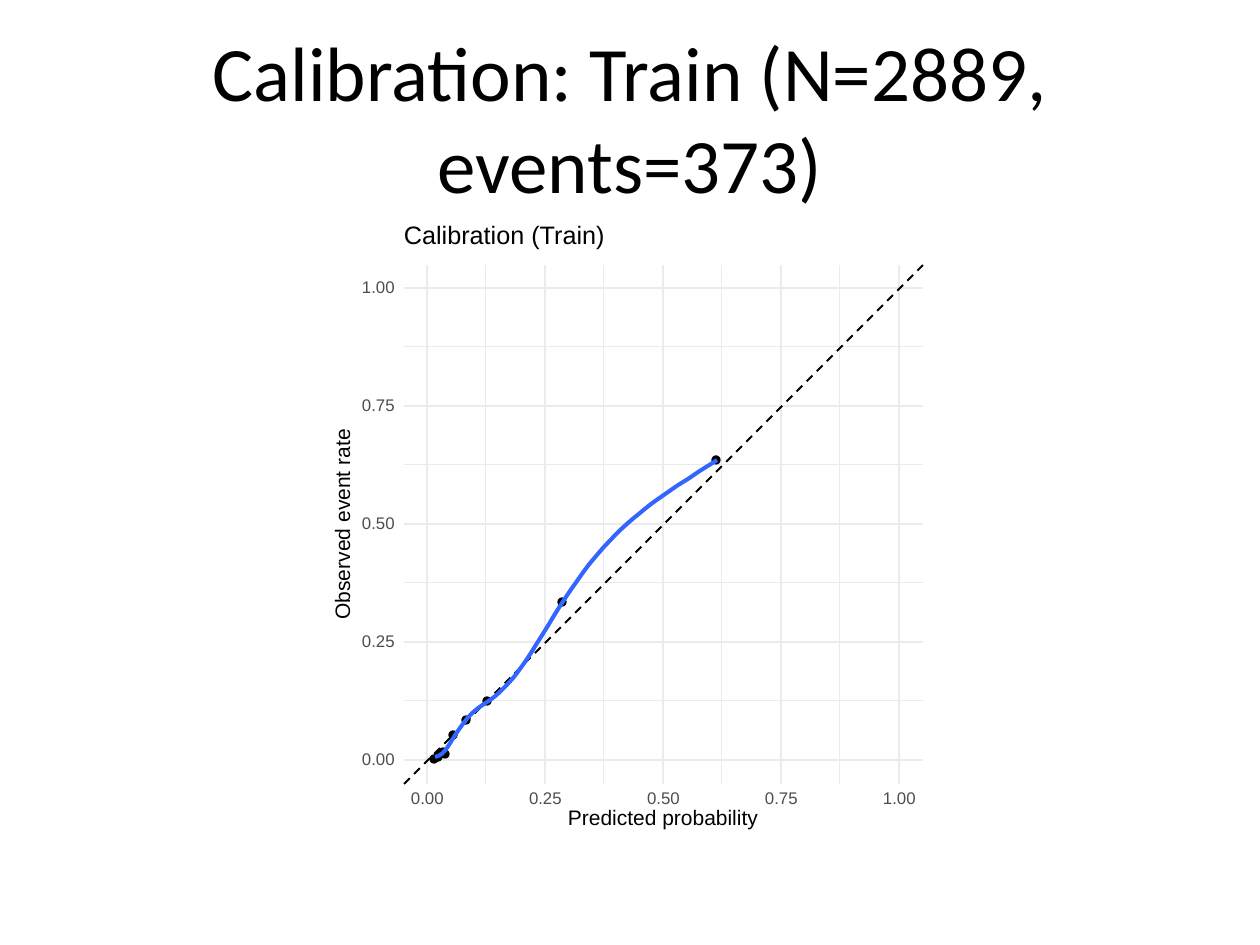
from dataclasses import dataclass
from lxml.etree import SubElement
from pptx import Presentation
from pptx.dml.color import RGBColor
from pptx.enum.dml import MSO_LINE
from pptx.enum.shapes import MSO_CONNECTOR, MSO_SHAPE
from pptx.enum.text import MSO_ANCHOR, PP_ALIGN
from pptx.oxml.ns import qn
from pptx.util import Pt

SCALE = 914400 / 126


def px(n):
    return round(n * SCALE)


@dataclass(frozen=True)
class Theme:
    ink: str = "000000"
    paper: str = "FFFFFF"
    grid: str = "EBEBEB"
    tick: str = "4D4D4D"
    curve: str = "3366FF"
    head: str = "Calibri"
    body: str = "Arial"
    title: float = 44
    plot: float = 14.4
    axis: float = 12
    small: float = 9.6
    thin: float = 0.58
    thick: float = 1.16
    bold: float = 2.33
    ring: float = 0.77
    frame: float = 0.75


class Canvas:
    def __init__(self, slide, theme):
        self.slide = slide
        self.theme = theme
        self.group = slide.shapes.add_group_shape().shapes

    def stroke(self, line, color, width):
        line.color.rgb = RGBColor.from_string(color)
        line.width = Pt(width)

    def font(self, para, name, size, color):
        para.font.name = name
        para.font.size = Pt(size)
        para.font.color.rgb = RGBColor.from_string(color)

    def title(self, text, x, y, w, h):
        box = self.slide.shapes.title
        box.left, box.top, box.width, box.height = map(px, (x, y, w, h))
        frame = box.text_frame
        frame.text = text
        frame.vertical_anchor = MSO_ANCHOR.MIDDLE
        para = frame.paragraphs[0]
        para.alignment = PP_ALIGN.CENTER
        self.font(para, self.theme.head, self.theme.title, self.theme.ink)

    def shape(self, kind, x, y, w, h, color, width=None):
        item = self.group.add_shape(kind, *map(px, (x, y, w, h)))
        item.shadow.inherit = False
        item.fill.solid()
        item.fill.fore_color.rgb = RGBColor.from_string(color)
        if width is None:
            item.line.fill.background()
        else:
            self.stroke(item.line, color, width)

    def dot(self, x, y, r=4):
        self.shape(MSO_SHAPE.OVAL, x - r, y - r, 2 * r, 2 * r,
                   self.theme.ink, self.theme.ring)

    def line(self, x1, y1, x2, y2, color, width, dash=None):
        item = self.group.add_connector(
            MSO_CONNECTOR.STRAIGHT, *map(px, (x1, y1, x2, y2)))
        self.stroke(item.line, color, width)
        if dash:
            item.line.dash_style = dash
        SubElement(item._element.spPr, qn("a:effectLst"))

    def curve(self, points, color, width):
        start, *rest = [(px(x), px(y)) for x, y in points]
        pen = self.group.build_freeform(*start)
        pen.add_line_segments(rest, close=False)
        item = pen.convert_to_shape()
        item.shadow.inherit = False
        item.fill.background()
        self.stroke(item.line, color, width)

    def label(self, text, x, y, w, h, size, color, turn=0):
        box = self.group.add_textbox(*map(px, (x, y, w, h)))
        box.rotation = turn
        frame = box.text_frame
        frame.word_wrap = False
        frame.vertical_anchor = MSO_ANCHOR.MIDDLE
        frame.margin_left = frame.margin_right = 0
        frame.margin_top = frame.margin_bottom = 0
        para = frame.paragraphs[0]
        para.text = text
        para.line_spacing = Pt(size)
        self.font(para, self.theme.body, size, color)


LEFT, TOP, RIGHT, BASE = 404, 265, 923, 784
ZERO_X, ZERO_Y, STEP = 427, 760, 118

DOTS = [(434, 759), (438, 757), (440, 754), (443, 752), (445, 754),
        (453, 735), (466, 720), (487, 701), (562, 602), (716, 460)]

FIT_LEFT, FIT_RIGHT = 435, 717
FIT = [757, 757, 755, 751, 745, 738, 733, 728, 723, 718,
       714, 711, 708, 706, 703, 701, 699, 696, 693, 689,
       685, 682, 678, 673, 668, 663, 658, 653, 646, 641,
       635, 630, 624, 617, 612, 606, 601, 595, 590, 585,
       580, 575, 570, 564, 561, 557, 552, 548, 544, 541,
       537, 533, 529, 527, 523, 520, 517, 514, 512, 508,
       505, 503, 500, 498, 495, 493, 490, 488, 485, 483,
       481, 479, 476, 474, 471, 469, 467, 465, 462, 460]


def smooth(row):
    mid = [sum(trio) / 3 for trio in zip(row, row[1:], row[2:])]
    return [row[0], *mid, row[-1]]


def main():
    deck = Presentation()
    deck.slide_width, deck.slide_height = px(1260), px(945)
    theme = Theme()
    page = Canvas(deck.slides.add_slide(deck.slide_layouts[5]), theme)

    page.title("Calibration: Train (N=2889, events=373)", 63, 38, 1134, 158)
    page.shape(MSO_SHAPE.RECTANGLE, 63, 221, 1134, 624,
               theme.paper, theme.frame)
    page.shape(MSO_SHAPE.RECTANGLE, 326, 221, 607, 624, theme.paper)

    minor = [n + 0.5 for n in range(4)]
    major = range(5)
    for marks, width in ((minor, theme.thin), (major, theme.thick)):
        for n in marks:
            y = ZERO_Y - n * STEP
            page.line(LEFT, y, RIGHT, y, theme.grid, width)
        for n in marks:
            x = ZERO_X + n * STEP
            page.line(x, BASE, x, TOP, theme.grid, width)

    page.line(LEFT, BASE, RIGHT, TOP, theme.ink, theme.thick, MSO_LINE.DASH)
    for x, y in DOTS:
        page.dot(x, y)
    gap = (FIT_RIGHT - FIT_LEFT) / (len(FIT) - 1)
    page.curve([(FIT_LEFT + i * gap, y)
                for i, y in enumerate(smooth(smooth(FIT)))],
               theme.curve, theme.bold)

    for n in major:
        text = f"{n / 4:.2f}"
        page.label(text, 362, ZERO_Y - n * STEP - 6, 33, 13,
                   theme.small, theme.tick)
        page.label(text, ZERO_X + n * STEP - 16, 793, 33, 13,
                   theme.small, theme.tick)
    page.label("Predicted probability", 568, 810, 200, 19,
               theme.axis, theme.ink)
    page.label("Observed event rate", 244, 512, 200, 15,
               theme.axis, theme.ink, 270)
    page.label("Calibration (Train)", 404, 225, 208, 24,
               theme.plot, theme.ink)

    deck.save("out.pptx")


if __name__ == "__main__":
    main()
